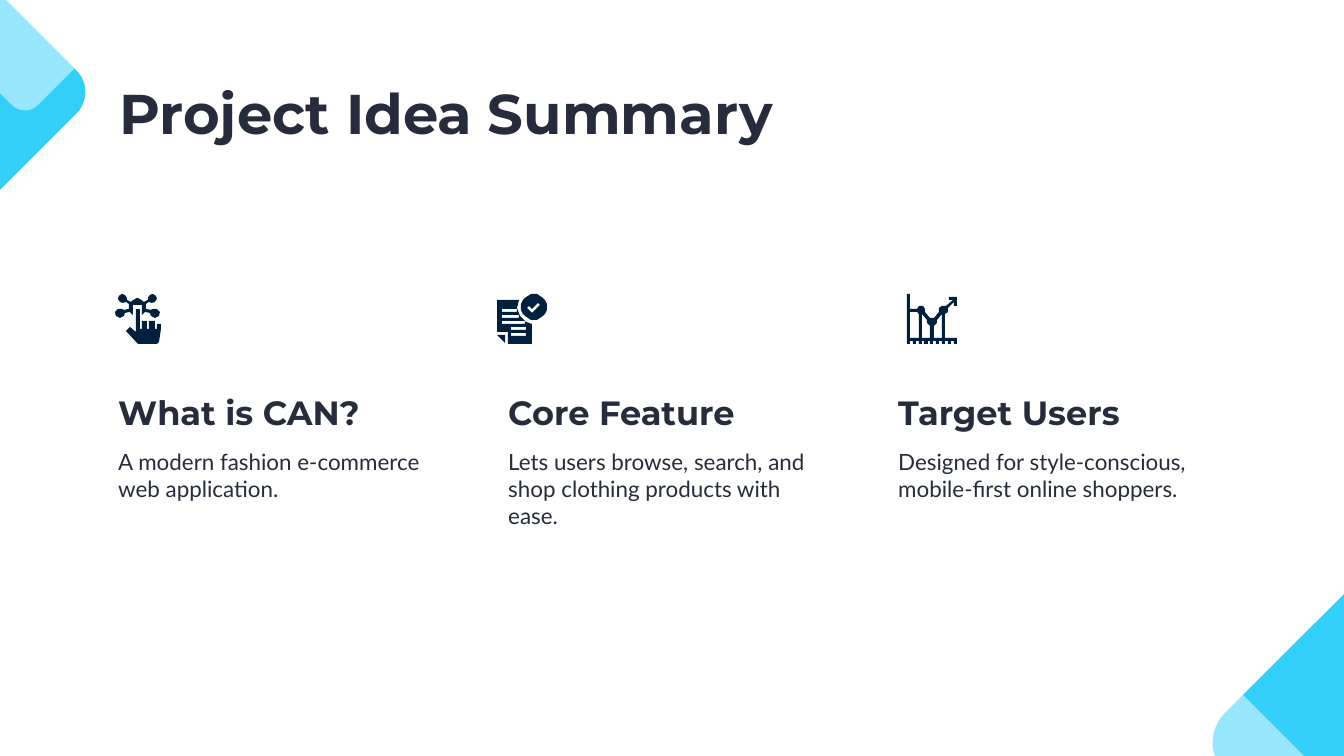
from math import cos, pi, sin, sqrt

from lxml import etree
from pptx import Presentation
from pptx.dml.color import RGBColor
from pptx.enum.shapes import MSO_SHAPE
from pptx.enum.text import MSO_ANCHOR
from pptx.oxml.ns import qn
from pptx.util import Pt

PX = 914400 / 134.4
SLIDE_W, SLIDE_H = 1344, 756

ROUNDED = MSO_SHAPE.ROUNDED_RECTANGLE
TOP, BOTTOM = MSO_ANCHOR.TOP, MSO_ANCHOR.BOTTOM

INK = RGBColor(0x26, 0x2C, 0x3B)
NAVY = RGBColor(0x01, 0x20, 0x3D)
CYAN = RGBColor(0x33, 0xCF, 0xF8)
WHITE = RGBColor(0xFF, 0xFF, 0xFF)

TITLE = "Project Idea Summary"
COLUMNS = [
    (105, "What is CAN?", "A modern fashion e-commerce web application."),
    (495, "Core Feature", "Lets users browse, search, and shop clothing products with ease."),
    (885, "Target Users", "Designed for style-conscious, mobile-first online shoppers."),
]
COLUMN_W = 353

CORNER_DIAMONDS = [
    (1395, 743, 200, CYAN, None),
    (1225, 798, 121, WHITE, 49),
    (-45, 92, 143, CYAN, None),
    (25, 32, 86, WHITE, 49),
]

NETWORK_AXIS = 137.5
NETWORK_HALF = [(138, 298), (143, 301), (144, 302), (148, 300), (148, 298), (150, 295),
                (153, 294), (156, 296), (157, 299), (155, 302), (152, 303), (149, 302),
                (146, 304), (146, 309), (151, 310), (153, 309), (157, 309), (160, 312),
                (159, 316), (155, 318), (151, 316), (150, 313), (145, 312), (142, 315),
                (142, 305)]
HAND = [(136, 309), (136, 332), (130, 327), (126, 331), (138, 344), (157, 344), (159, 342),
        (161, 329), (161, 324), (157, 324), (157, 329), (155, 329), (155, 321), (149, 321),
        (149, 329), (147, 329), (147, 321), (142, 321), (142, 329), (140, 329), (140, 309)]

PAGE = [(497, 300), (519, 300), (517, 308), (520, 316), (526, 322), (532, 324), (532, 344),
        (508, 344), (508, 332), (497, 332)]
PAGE_LINES = [(502, 517), (502, 519), (502, 525), (511, 526), (511, 526)]
PAGE_FOLD = [(497, 335), (505, 335), (505, 343)]
SEAL_X, SEAL_Y, SEAL_R, SEAL_SIDES = 534, 307, 13, 24
CHECK = [(527, 308), (529, 306), (532, 309), (538, 303), (540, 305), (532, 313)]

CHART = [(907, 294), (910, 294), (910, 309), (917, 309), (919, 306), (923, 306), (925, 309),
         (925, 312), (930, 318), (934, 318), (939, 312), (939, 308), (942, 306), (946, 306),
         (953, 300), (949, 300), (949, 297), (957, 297), (957, 306), (954, 306), (954, 302),
         (948, 308), (948, 312), (945, 314), (945, 338), (957, 338)]
CHART_GAPS = [
    [(942, 314), (942, 338), (934, 338), (934, 326), (937, 323), (937, 320)],
    [(922, 314), (922, 338), (930, 338), (930, 326), (927, 323), (927, 320)],
    [(910, 312), (917, 312), (919, 314), (919, 338), (910, 338)],
]
AXIS_RIGHT, TICKS, TICK_STEP = 957, 9, 5.9

prs = Presentation()
prs.slide_width, prs.slide_height = round(SLIDE_W * PX), round(SLIDE_H * PX)
slide = prs.slides.add_slide(prs.slide_layouts[6])
shapes = slide.shapes


def emu(*lengths):
    return [round(length * PX) for length in lengths]


def paint(shape, color, alpha=None):
    shape.shadow.inherit = False
    shape.fill.solid()
    shape.fill.fore_color.rgb = color
    shape.line.fill.background()
    if alpha:
        srgb = shape.fill._xPr.find(qn("a:solidFill"))[0]
        etree.SubElement(srgb, qn("a:alpha"), val=str(alpha * 1000))


def add_diamond(x, y, reach, color, alpha):
    side = reach * sqrt(2)
    diamond = shapes.add_shape(ROUNDED, *emu(x - side / 2, y - side / 2, side, side))
    diamond.adjustments[0] = 0.15
    diamond.rotation = 45
    paint(diamond, color, alpha)


def add_outline(*contours):
    builder = shapes.build_freeform(*contours[0][0], scale=PX)
    builder.add_line_segments(contours[0][1:])
    for contour in contours[1:]:
        builder.move_to(*contour[0])
        builder.add_line_segments(contour[1:])
    paint(builder.convert_to_shape(), NAVY)


def add_text(text, x, y, w, h, size=12, font="Lato", bold=False, anchor=TOP):
    frame = shapes.add_textbox(*emu(x, y, w, h)).text_frame
    frame.word_wrap = True
    frame.vertical_anchor = anchor
    frame.margin_left, frame.margin_top, frame.margin_right, frame.margin_bottom = emu(*[13.44] * 4)
    run = frame.paragraphs[0].add_run()
    run.text = text
    run.font.size = Pt(size)
    run.font.name = font
    run.font.bold = bold
    run.font.color.rgb = INK


for diamond in CORNER_DIAMONDS:
    add_diamond(*diamond)

add_text(TITLE, 106, 65, 1133, 85, size=30, font="Montserrat", bold=True)
for x, heading, body in COLUMNS:
    add_text(body, x, 435, COLUMN_W, 102)
    add_text(heading, x, 388, COLUMN_W, 58, size=18, font="Montserrat", bold=True, anchor=BOTTOM)

seal = [
    (SEAL_X + SEAL_R * cos(2 * pi * i / SEAL_SIDES), SEAL_Y + SEAL_R * sin(2 * pi * i / SEAL_SIDES))
    for i in range(SEAL_SIDES)
]
line_gaps = [
    [(left, y), (right, y), (right, y + 2.5), (left, y + 2.5)]
    for y, (left, right) in zip(range(309, 339, 6), PAGE_LINES)
]
add_outline(seal, CHECK)
add_outline(PAGE_FOLD)
add_outline(PAGE, *line_gaps)

teeth = []
for tick in range(TICKS):
    right = AXIS_RIGHT - TICK_STEP * tick
    teeth += [(right, 341), (right, 344), (right - 3, 344), (right - 3, 341)]
add_outline(CHART + teeth, *CHART_GAPS)

mirrored = [(2 * NETWORK_AXIS - x, y) for x, y in reversed(NETWORK_HALF)]
add_outline(NETWORK_HALF + mirrored)
add_outline(HAND)

prs.save("out.pptx")
